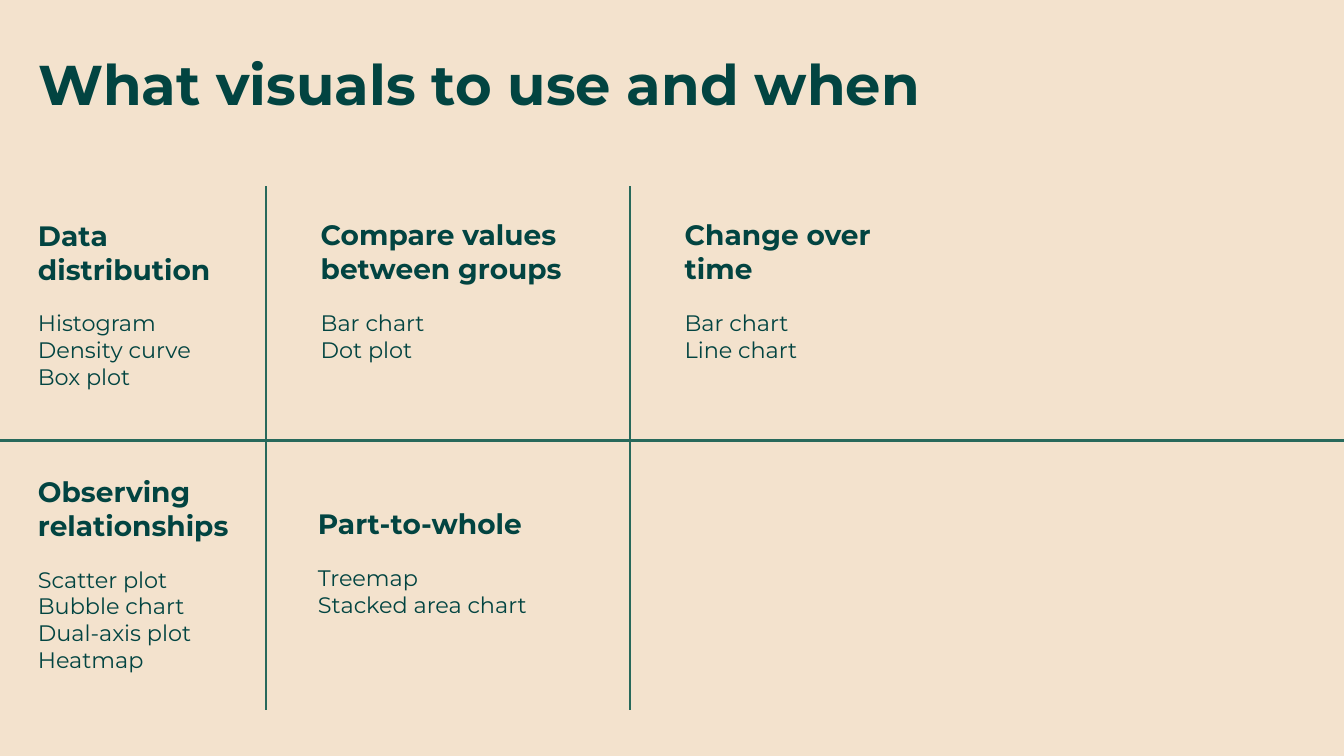
from pptx import Presentation
from pptx.dml.color import RGBColor
from pptx.enum.shapes import MSO_CONNECTOR
from pptx.enum.text import MSO_ANCHOR, MSO_AUTO_SIZE, PP_ALIGN
from pptx.oxml.ns import qn
from pptx.util import Pt
from lxml.etree import SubElement

TITLE = "What visuals to use and when"
TOPICS = [
    ("Data distribution", ["Histogram", "Density curve", "Box plot"],
     (20, 152.5, 154, 131)),
    ("Compare values between groups", ["Bar chart", "Dot plot"],
     (222, 152, 198, 112)),
    ("Change over time", ["Bar chart", "Line chart"],
     (482, 152, 169, 112)),
    ("Observing relationships",
     ["Scatter plot", "Bubble chart", "Dual-axis plot", "Heatmap"],
     (20, 335.5, 234, 150)),
    ("Part-to-whole", ["Treemap", "Stacked area chart"],
     (220, 358.5, 197, 87)),
]
WIDTH, HEIGHT = 960, 540
ROW_DIVIDER = 314.5
COLUMN_DIVIDERS = [190, 450]
COLUMN_TOP, COLUMN_BOTTOM = 133, 507
FONT, INK, RULE, SAND = "Montserrat", "024441", "27695B", "F3E2CD"


def color(value):
    return RGBColor.from_string(value)


def style(paragraph, size, bold):
    paragraph.alignment = PP_ALIGN.LEFT
    font = paragraph.font
    font.name, font.size, font.bold = FONT, Pt(size), bold
    font.color.rgb = color(INK)


def add_divider(slide, *ends):
    divider = slide.shapes.add_connector(MSO_CONNECTOR.STRAIGHT, *map(Pt, ends))
    divider.line.color.rgb = color(RULE)
    divider.line.width = Pt(2)
    SubElement(divider.element.spPr, qn("a:effectLst"))


def add_topic(slide, heading, visuals, place):
    frame = slide.shapes.add_textbox(*map(Pt, place)).text_frame
    frame.word_wrap = True
    frame.text = "\n".join([heading, *visuals])
    first, *items = frame.paragraphs
    style(first, 20, True)
    for item in items:
        style(item, 16, False)
    items[0].space_before = Pt(17)


def main():
    deck = Presentation()
    deck.slide_width, deck.slide_height = Pt(WIDTH), Pt(HEIGHT)
    slide = deck.slides.add_slide(deck.slide_layouts[5])
    slide.background.fill.solid()
    slide.background.fill.fore_color.rgb = color(SAND)

    title = slide.shapes.title
    title.left, title.top, title.width, title.height = map(Pt, (20, 13, 675, 99))
    title.text_frame.text = TITLE
    title.text_frame.word_wrap = True
    title.text_frame.auto_size = MSO_AUTO_SIZE.NONE
    title.text_frame.vertical_anchor = MSO_ANCHOR.MIDDLE
    headline = title.text_frame.paragraphs[0]
    headline.line_spacing = 0.9
    style(headline, 40, True)

    add_divider(slide, 0, ROW_DIVIDER, WIDTH, ROW_DIVIDER)
    for x in COLUMN_DIVIDERS:
        add_divider(slide, x, COLUMN_TOP, x, COLUMN_BOTTOM)
    for topic in TOPICS:
        add_topic(slide, *topic)

    deck.save("out.pptx")


if __name__ == "__main__":
    main()
